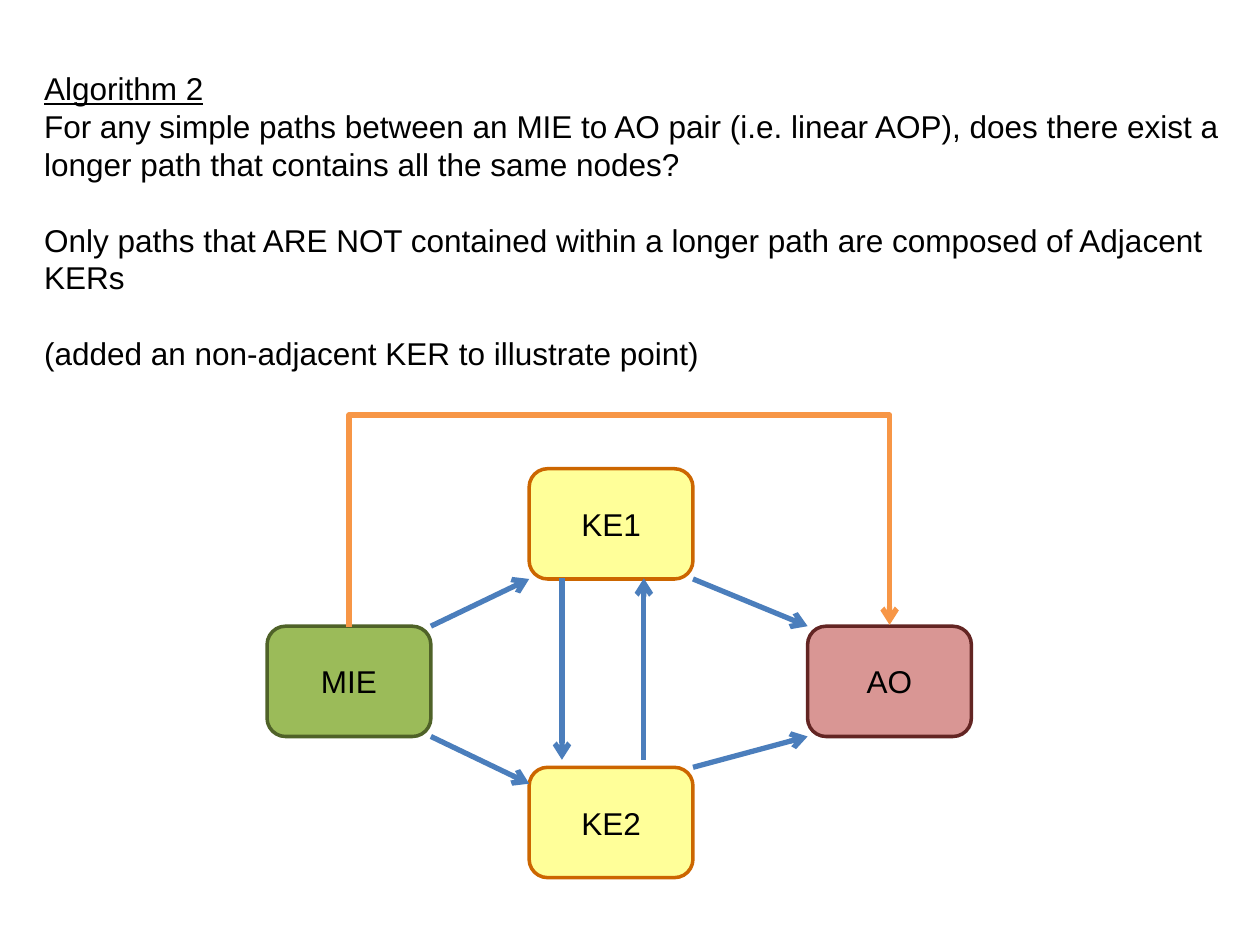
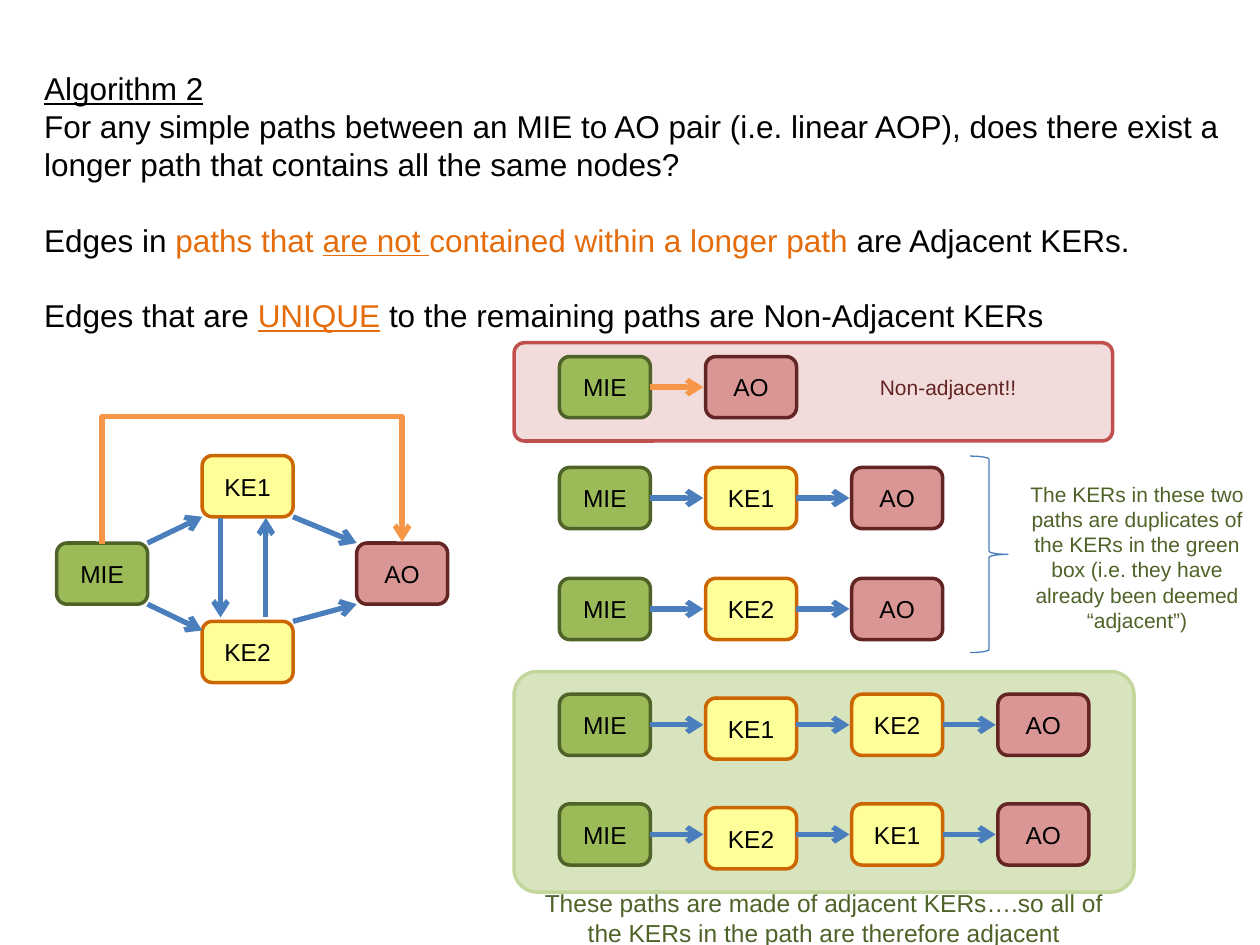
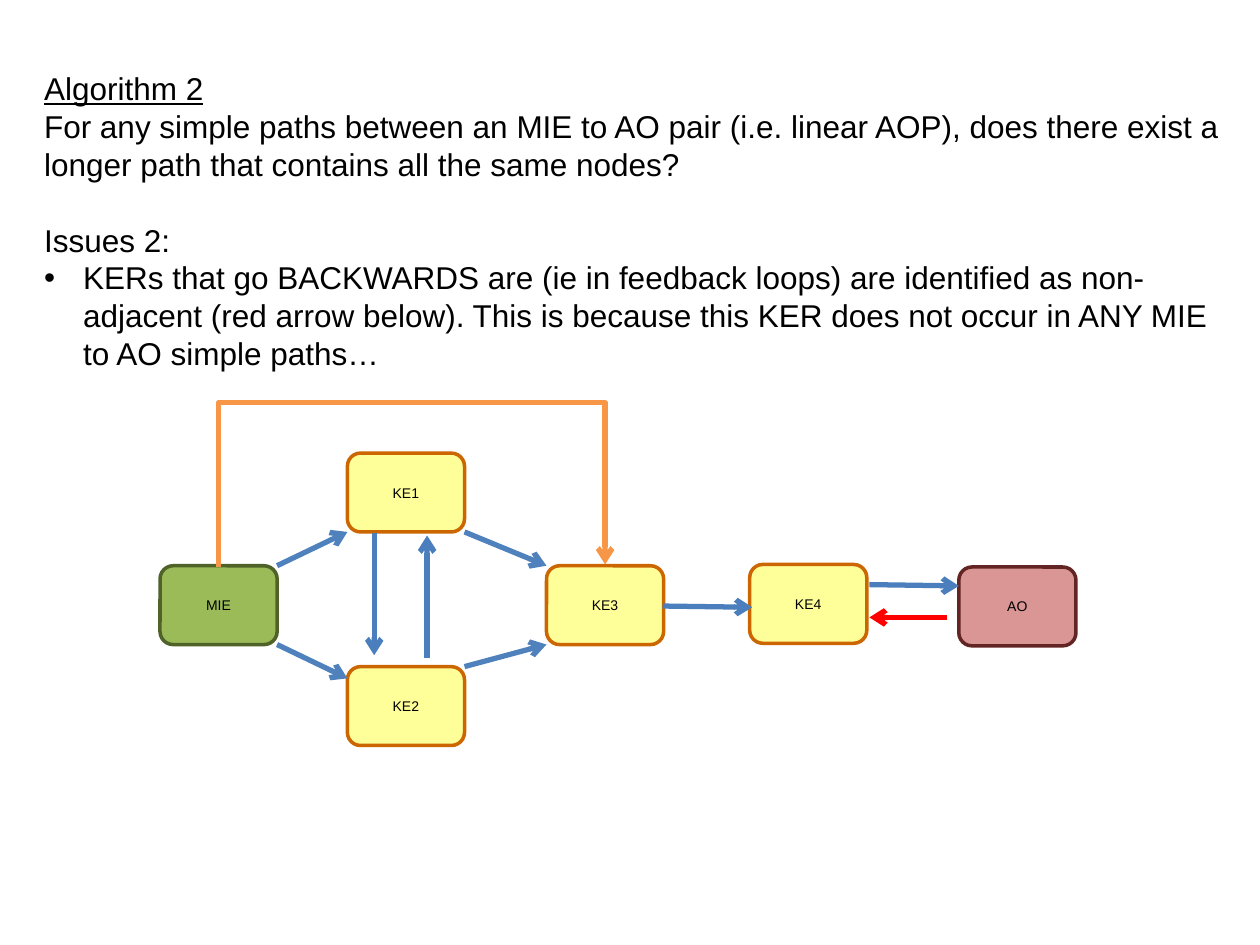
"""Builds three slides that explain how adjacent KERs are found in a pathway network."""
import pptx
import pptx.dml.color
import pptx.enum.shapes
import pptx.enum.text
import pptx.oxml
import pptx.oxml.ns
import pptx.util

COLORS = {
    "black": "000000", "accent": "E46C0A", "orange": "F79646", "red": "FF0000",
    "blue": "4B7EBC", "light blue": "4F81BD",
    "green": "9BBB59", "dark green": "4F6228", "pale green": "D7E4BD", "soft green": "C3D69B",
    "rose": "D99694", "dark red": "632523", "pale rose": "F2DCDB", "brick": "C0504D",
    "yellow": "FFFF99", "brown": "CC6600",
}
RGB = {name: pptx.dml.color.RGBColor.from_string(value) for name, value in COLORS.items()}
EVENT_STYLES = {"MIE": ("green", "dark green"), "AO": ("rose", "dark red")}
KEY_EVENT_STYLE = ("yellow", "brown")
SHAPES = pptx.enum.shapes.MSO_SHAPE
CONNECTORS = pptx.enum.shapes.MSO_CONNECTOR
ALIGN = pptx.enum.text.PP_ALIGN
ANCHOR = pptx.enum.text.MSO_ANCHOR
LINE_PITCH = 21.6
BOX_WIDTH, BOX_HEIGHT = 1.3, 0.875
ELBOW_DROP = 0.02

presentation = pptx.Presentation()
presentation.slide_width = pptx.util.Inches(10)
presentation.slide_height = pptx.util.Inches(7.5)
column = presentation.slide_width / 10


def grid(*cells):
    """Turns grid columns and rows into slide lengths."""
    return [round(cell * column) for cell in cells]


def write(paragraph, runs, size, align=ALIGN.LEFT):
    """Adds runs of (text, color, underlined) to a paragraph."""
    paragraph.alignment = align
    for text, color, underlined in runs:
        run = paragraph.add_run()
        run.text = text
        run.font.name = "Arial"
        run.font.size = pptx.util.Pt(size)
        run.font.color.rgb = RGB[color]
        run.font.underline = underlined


question = ([("For any simple paths between an MIE to AO pair (i.e. linear AOP), does there exist a "
              "longer path that contains all the same nodes?", "black", False)], 0, False)

scenes = [
    {
        "body": [
            question,
            ([("Only paths that ARE NOT contained within a longer path are composed of Adjacent KERs",
               "black", False)], 1, False),
            ([("(added an non-adjacent KER to illustrate point)", "black", False)], 1, False),
        ],
        "body height": 2.22,
        "origin": (2.12, 4.97), "scale": 1, "size": 18, "end": "AO", "rise": 1.68,
        "edge color": "blue", "lanes": [(4.46, 4.59, 6.03), (5.11, 6.03, 4.59)],
    },
    {
        "body": [
            question,
            ([("Edges in ", "black", False), ("paths that ", "accent", False),
              ("are not ", "accent", True), ("contained within a longer path ", "accent", False),
              ("are Adjacent KERs.", "black", False)], 1, False),
            ([("Edges that are ", "black", False), ("UNIQUE", "accent", True),
              (" to the remaining paths are Non-Adjacent KERs", "black", False)], 1, False),
        ],
        "body height": 1.92,
        "origin": (0.45, 4.31), "scale": 0.555, "size": 14, "end": "AO", "rise": 1.01,
        "edge color": "blue", "lanes": [(1.75, 4.11, 4.9), (2.11, 4.9, 4.11)],
        "panels": [
            (4.08, 2.72, 4.75, 0.78, "pale rose", "brick"),
            (4.08, 5.33, 4.92, 1.75, "pale green", "soft green"),
        ],
        "paths": [
            (2.83, 0, "orange", ["MIE", "AO"]),
            (3.71, 0, "blue", ["MIE", "KE1", "AO"]),
            (4.59, 0, "blue", ["MIE", "KE2", "AO"]),
            (5.51, 0.03, "blue", ["MIE", "KE1", "KE2", "AO"]),
            (6.38, 0.03, "blue", ["MIE", "KE2", "KE1", "AO"]),
        ],
        "brace": (7.7, 3.62, 0.3, 1.56),
        "notes": [
            (4.08, 7, 4.92, 0.57, 14, "dark green",
             "These paths are made of adjacent KERs….so all of the KERs in the path are "
             "therefore adjacent"),
            (8, 3.77, 2.05, 1.31, 12, "dark green",
             "The KERs in these two paths are duplicates of the KERs in the green box "
             "(i.e. they have already been deemed “adjacent”)"),
            (6.5, 2.92, 2.05, 0.3, 12, "dark red", "Non-adjacent!!"),
        ],
    },
    {
        "body": [
            question,
            ([("Issues 2:", "black", False)], 1, False),
            ([("KERs that go BACKWARDS are (ie in feedback loops) are identified as non-adjacent "
               "(red arrow below). This is because this KER does not occur in ANY MIE to AO "
               "simple paths…", "black", False)], 0, True),
        ],
        "body height": 3.13,
        "origin": (1.27, 4.49), "scale": 0.715, "size": 8, "end": "KE3", "rise": 1.3,
        "edge color": "light blue", "lanes": [(2.97, 4.23, 5.2), (3.39, 5.22, 4.25)],
        "extra events": [("KE4", 5.95, 4.48), ("AO", 7.61, 4.5)],
        "extra edges": [
            (5.26, 4.81, 5.97, 4.82, "blue"),
            (6.9, 4.64, 7.61, 4.65, "blue"),
            (7.52, 4.9, 6.9, 4.9, "red"),
        ],
    },
]

for scene in scenes:
    slide = presentation.slides.add_slide(presentation.slide_layouts[1])
    title, body = slide.shapes.title, slide.placeholders[1]
    title.left, title.top, title.width, title.height = grid(0.25, 0.5, 9.67, 0.4)
    body.left, body.top, body.width, body.height = grid(0.25, 0.8, 9.67, scene["body height"])
    for placeholder in (title, body):
        placeholder.text_frame.vertical_anchor = ANCHOR.TOP
        placeholder.text_frame.auto_size = pptx.enum.text.MSO_AUTO_SIZE.NONE
        placeholder.text_frame.word_wrap = True
    write(title.text_frame.paragraphs[0], [("Algorithm 2", "black", True)], 18)

    for index, (runs, lines_before, bulleted) in enumerate(scene["body"]):
        frame = body.text_frame
        paragraph = frame.add_paragraph() if index else frame.paragraphs[0]
        write(paragraph, runs, 18)
        paragraph.space_before = pptx.util.Pt(lines_before * LINE_PITCH)
        properties = paragraph._p.get_or_add_pPr()
        indent = grid(0.31)[0] if bulleted else 0
        properties.set("marL", str(indent))
        properties.set("indent", str(-indent))
        bullet = pptx.oxml.ns.qn("a:buChar" if bulleted else "a:buNone")
        bullet_element = properties.makeelement(bullet, {"char": "•"} if bulleted else {})
        properties.append(bullet_element)

    for *bounds, fill, outline in scene.get("panels", []):
        panel = slide.shapes.add_shape(SHAPES.ROUNDED_RECTANGLE, *grid(*bounds))
        panel.adjustments[0] = 0.105
        panel.shadow.inherit = False
        panel.fill.solid()
        panel.fill.fore_color.rgb = RGB[fill]
        panel.line.color.rgb = RGB[outline]
        panel.line.width = pptx.util.Pt(2)

    left, top = scene["origin"]
    scale = scene["scale"]
    width, height = BOX_WIDTH * scale, BOX_HEIGHT * scale
    middle, end = left + 2.08 * scale, left + 4.29 * scale
    upper, lower = top - 1.25 * scale, top + 1.12 * scale
    events = [("MIE", left, top), (scene["end"], end, top),
              ("KE2", middle, lower), ("KE1", middle, upper)]
    events += scene.get("extra events", [])

    color = scene["edge color"]
    edges = [
        (left + width, top, middle, upper + height, color),
        (left + width, top + height, middle, lower + 0.13 * scale, color),
        (middle + width, upper + height, end, top, color),
        (middle + width, lower, end, top + height, color),
    ]
    edges += [(x, start, x, finish, "blue") for x, start, finish in scene["lanes"]]
    edges += scene.get("extra edges", [])

    for path_top, drop, path_color, labels in scene.get("paths", []):
        for step, label in enumerate(labels):
            path_left = 4.44 + 1.16 * step
            events.append((label, path_left, path_top + (drop if step == 1 else 0)))
            if step < len(labels) - 1:
                start, level = path_left + width, path_top + height / 2
                edges.append((start, level, start + 0.42, level, path_color))

    for label, event_left, event_top in events:
        fill, outline = EVENT_STYLES.get(label, KEY_EVENT_STYLE)
        event = slide.shapes.add_shape(
            SHAPES.ROUNDED_RECTANGLE, *grid(event_left, event_top, width, height))
        event.shadow.inherit = False
        event.fill.solid()
        event.fill.fore_color.rgb = RGB[fill]
        event.line.color.rgb = RGB[outline]
        event.line.width = pptx.util.Pt(2)
        event.text_frame.vertical_anchor = ANCHOR.MIDDLE
        write(event.text_frame.paragraphs[0], [(label, "black", False)],
              scene["size"], ALIGN.CENTER)

    arrows = []
    for *ends, color in edges:
        arrow = slide.shapes.add_connector(CONNECTORS.STRAIGHT, *grid(*ends))
        arrows.append((arrow, color))

    center, span = (left + end + width) / 2, end - left
    elbow = slide.shapes.add_connector(CONNECTORS.ELBOW, *grid(
        center + ELBOW_DROP / 2, top + span / 2, center - ELBOW_DROP / 2, top - span / 2))
    elbow._element.spPr.find(pptx.oxml.ns.qn("a:xfrm")).set("rot", "5400000")
    geometry = elbow._element.spPr.find(pptx.oxml.ns.qn("a:prstGeom"))
    guide = {"name": "adj1", "fmla": f"val {round(scene['rise'] / ELBOW_DROP * 100000)}"}
    geometry.get_or_add_avLst().append(geometry.makeelement(pptx.oxml.ns.qn("a:gd"), guide))
    arrows.append((elbow, "orange"))

    for arrow, color in arrows:
        arrow.line.color.rgb = RGB[color]
        arrow.line.width = pptx.util.Pt(3)
        line = arrow.line._get_or_add_ln()
        line.append(line.makeelement(pptx.oxml.ns.qn("a:tailEnd"), {"type": "arrow"}))
        shape_properties = arrow._element.spPr
        shape_properties.append(
            shape_properties.makeelement(pptx.oxml.ns.qn("a:effectLst"), {}))

    if "brace" in scene:
        brace = slide.shapes.add_shape(SHAPES.RIGHT_BRACE, *grid(*scene["brace"]))
        brace.shadow.inherit = False
        brace.fill.background()
        brace.line.color.rgb = RGB["blue"]
        brace.line.width = pptx.util.Pt(0.75)

    for *bounds, size, color, text in scene.get("notes", []):
        note = slide.shapes.add_textbox(*grid(*bounds))
        note.text_frame.word_wrap = True
        write(note.text_frame.paragraphs[0], [(text, color, False)], size, ALIGN.CENTER)

presentation.save("out.pptx")
